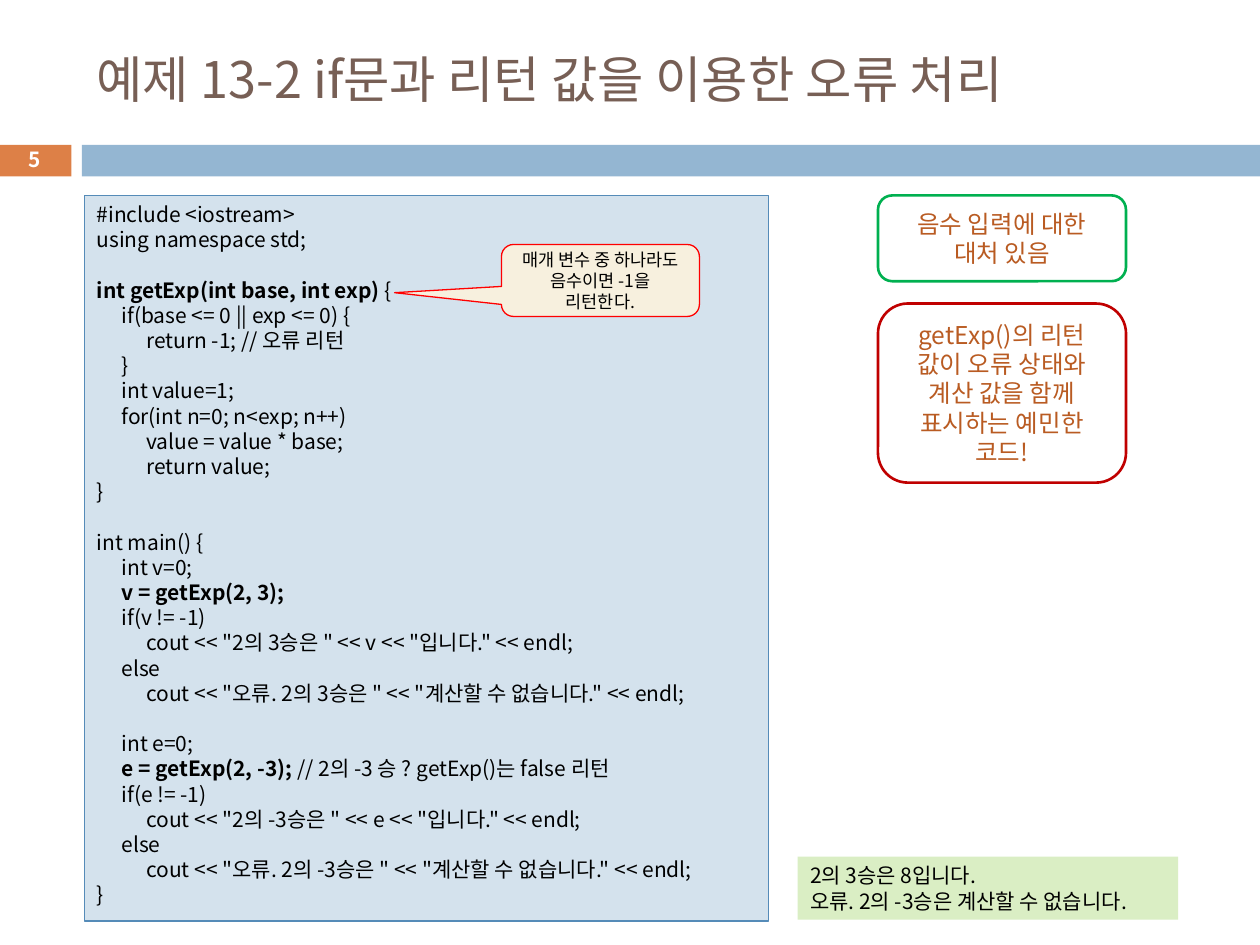
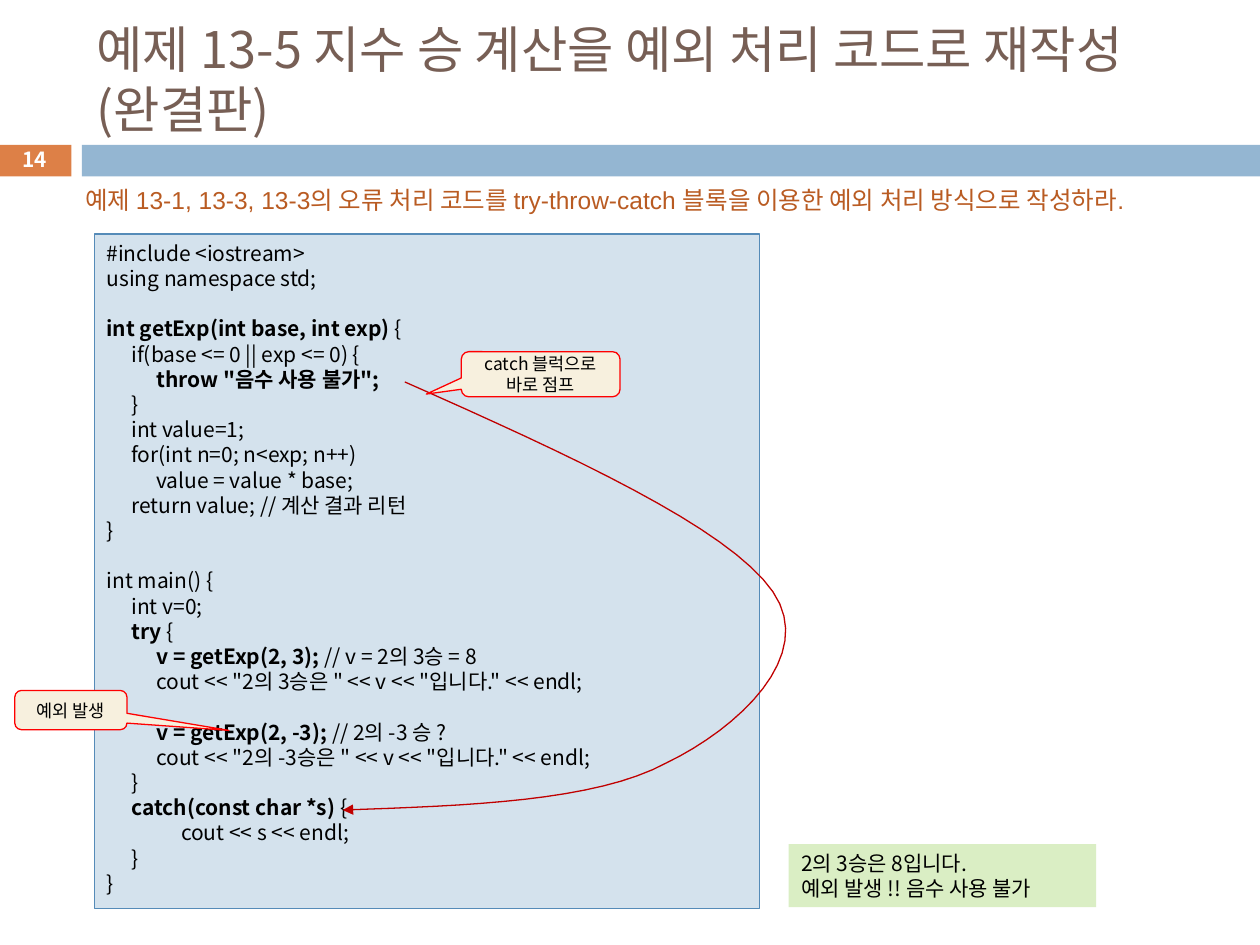
import pptx
import pptx.dml.color
import pptx.enum.shapes
import pptx.enum.text
import pptx.oxml
import pptx.oxml.ns
import pptx.util
from pptx.util import Cm

COLOURS = {
    "title": "775F55", "number_band": "DD8047", "title_band": "94B6D2",
    "white": "FFFFFF", "black": "000000", "code_fill": "D4E2ED",
    "code_line": "558BB8", "callout_fill": "F7F0DE", "callout_line": "FF0000",
    "output": "DAEEC4", "note": "B95B22", "green": "00B050", "red": "C00000",
}
KOREAN_FONT = "Noto Sans CJK KR"
LINE_PITCH = 1.2
TAB_STEP = 0.5
SHAPES = pptx.enum.shapes.MSO_SHAPE
ALIGN = pptx.enum.text.PP_ALIGN
ANCHOR = pptx.enum.text.MSO_ANCHOR

TITLE_STYLE = {"size": 28.8, "colour": "title", "anchor": ANCHOR.MIDDLE}
NUMBER_STYLE = {"size": 11.9, "colour": "white", "bold": True,
                "align": ALIGN.CENTER, "anchor": ANCHOR.MIDDLE}
CALLOUT_STYLE = {"size": 10, "align": ALIGN.CENTER, "anchor": ANCHOR.MIDDLE}
NOTE_STYLE = {"size": 14, "colour": "note", "align": ALIGN.CENTER,
              "anchor": ANCHOR.MIDDLE}
TASK_STYLE = {"size": 14, "colour": "note", "font": "Arial"}

FUNCTION_START = """#include <iostream>
using namespace std;

**int getExp(int base, int exp) **{
    if(base <= 0 || exp <= 0) {
"""
RETURN_VALUE_CODE = FUNCTION_START + """        return -1; // 오류 리턴
    }
    int value=1;
    for(int n=0; n<exp; n++)
        value = value * base;
        return value;
}

int main() {
    int v=0;
    **v = getExp(2, 3);**
    if(v != -1)
        cout << "2의 3승은 " << v << "입니다." << endl;
    else
        cout << "오류. 2의 3승은 " << "계산할 수 없습니다." << endl;

    int e=0;
    **e = getExp(2, -3); **// 2의 -3 승 ? getExp()는 false 리턴
    if(e != -1)
        cout << "2의 -3승은 " << e << "입니다." << endl;
    else
        cout << "오류. 2의 -3승은 " << "계산할 수 없습니다." << endl;
}"""
EXCEPTION_CODE = FUNCTION_START + """        **throw "음수 사용 불가";**
    }
    int value=1;
    for(int n=0; n<exp; n++)
        value = value * base;
    return value; // 계산 결과 리턴
}

int main() {
    int v=0;
    **try **{
        **v = getExp(2, 3); **// v = 2의 3승 = 8
        cout << "2의 3승은 " << v << "입니다." << endl;

        **v = getExp(2, -3); **// 2의 -3 승 ?
        cout << "2의 -3승은 " << v << "입니다." << endl;
    }
    **catch(const char *s) **{
            cout << s << endl;
    }
}"""


def rgb(name):
    return pptx.dml.color.RGBColor.from_string(COLOURS[name])


def add_run(paragraph, text, style, bold):
    run = paragraph.add_run()
    run.text = text
    values = {"size": pptx.util.Pt(style.get("size", 12)), "bold": bold,
              "name": style.get("font", KOREAN_FONT)}
    for attribute, value in values.items():
        setattr(run.font, attribute, value)
    run.font.color.rgb = rgb(style.get("colour", "black"))
    east_asian = run._r.get_or_add_rPr().makeelement(
        pptx.oxml.ns.qn("a:ea"), {"typeface": KOREAN_FONT})
    run.font._element.find(pptx.oxml.ns.qn("a:latin")).addnext(east_asian)


def add_tab_stops(paragraph):
    stops = "".join(f'<a:tab pos="{Cm(TAB_STEP * step)}" algn="l"/>' for step in range(1, 4))
    paragraph._p.get_or_add_pPr().append(pptx.oxml.parse_xml(
        f'<a:tabLst {pptx.oxml.ns.nsdecls("a")}>{stops}</a:tabLst>'))


def write_text(shape, text, style):
    frame = shape.text_frame
    frame.word_wrap = True
    frame.vertical_anchor = style.get("anchor", ANCHOR.TOP)
    pitch = pptx.util.Pt(style.get("size", 12) * LINE_PITCH)
    paragraph = None
    gap = False
    for line in text.split("\n"):
        if not line:
            gap = True
            continue
        paragraph = frame.add_paragraph() if paragraph else frame.paragraphs[0]
        values = {"alignment": style.get("align", ALIGN.LEFT), "line_spacing": pitch,
                  "space_before": pitch if gap else pptx.util.Pt(0)}
        for attribute, value in values.items():
            setattr(paragraph, attribute, value)
        gap = False
        if line.startswith("    "):
            add_tab_stops(paragraph)
        for index, part in enumerate(line.replace("    ", "\t").split("**")):
            if part:
                add_run(paragraph, part, style, style.get("bold", index % 2 == 1))


def outline(shape, colour, width=0.75):
    shape.line.color.rgb = rgb(colour)
    shape.line.width = pptx.util.Pt(width)


def add_panel(slide, box, kind=SHAPES.RECTANGLE, fill=None, line=None, width=0.75):
    shape = slide.shapes.add_shape(kind, *map(Cm, box))
    shape.shadow.inherit = False
    if fill:
        shape.fill.solid()
        shape.fill.fore_color.rgb = rgb(fill)
    else:
        shape.fill.background()
    if line:
        outline(shape, line, width)
    else:
        shape.line.fill.background()
    return shape


def add_label(slide, box, text, style):
    write_text(slide.shapes.add_textbox(*map(Cm, box)), text, style)


def add_code(slide, box, code):
    write_text(add_panel(slide, box, fill="code_fill", line="code_line"), code, {})


def add_output(slide, box, text):
    write_text(add_panel(slide, box, fill="output"), text, {})


def add_note(slide, box, text, line):
    write_text(add_panel(slide, box, SHAPES.ROUNDED_RECTANGLE, line=line, width=1.5),
               text, NOTE_STYLE)


def add_callout(slide, box, text, tip):
    shape = add_panel(slide, box, SHAPES.ROUNDED_RECTANGULAR_CALLOUT,
                      "callout_fill", "callout_line")
    shape.adjustments[0], shape.adjustments[1] = tip
    write_text(shape, text, CALLOUT_STYLE)


def bezier_points(controls, steps=16):
    for step in range(1, steps + 1):
        t = step / steps
        weights = ((1 - t) ** 3, 3 * t * (1 - t) ** 2, 3 * t * t * (1 - t), t ** 3)
        yield tuple(sum(weight * point[axis] for weight, point in zip(weights, controls))
                    for axis in (0, 1))


def add_jump_arrow(slide, box):
    left, top, width, height = box
    controls = [(0.14, 0), (0.51, 0.17), (0.87, 0.34), (0.97, 0.49), (1.07, 0.64),
                (0.89, 0.81), (0.73, 0.89), (0.57, 0.98), (0.28, 0.99), (0, 1)]
    points = [controls[0]]
    for start in range(0, len(controls) - 1, 3):
        points.extend(bezier_points(controls[start:start + 4]))
    places = [(Cm(left + x * width), Cm(top + y * height)) for x, y in points]
    builder = slide.shapes.build_freeform(*places[0])
    builder.add_line_segments(places[1:], close=False)
    shape = builder.convert_to_shape()
    shape.shadow.inherit = False
    shape.fill.background()
    outline(shape, "red")
    shape.line._get_or_add_ln().append(pptx.oxml.parse_xml(
        f'<a:tailEnd {pptx.oxml.ns.nsdecls("a")} type="triangle"/>'))


def add_example_slide(presentation, number, title):
    slide = presentation.slides.add_slide(presentation.slide_layouts[6])
    add_panel(slide, (-0.03, 2.92, 1.47, 0.64), fill="number_band")
    add_panel(slide, (1.65, 2.92, 23.75, 0.64), fill="title_band")
    add_label(slide, (1.7, 0.64, 22.66, 1.88), title, TITLE_STYLE)
    add_label(slide, (-0.03, 2.87, 1.47, 0.69), str(number), NUMBER_STYLE)
    return slide


def add_return_value_slide(presentation):
    slide = add_example_slide(presentation, 5, "예제 13-2 if문과 리턴 값을 이용한 오류 처리")
    add_code(slide, (1.7, 3.94, 13.79, 14.63), RETURN_VALUE_CODE)
    add_callout(slide, (10.11, 4.93, 3.99, 1.45),
                "매개 변수 중 하나라도 음수이면 -1을 리턴한다.", (-1.04, 0.17))
    add_output(slide, (16.08, 17.27, 7.67, 1.27),
               "2의 3승은 8입니다.\n오류. 2의 -3승은 계산할 수 없습니다.")
    add_note(slide, (17.7, 3.94, 5, 1.73), "음수 입력에 대한 대처 있음", "green")
    add_note(slide, (17.7, 6.12, 5, 3.61),
             "getExp()의 리턴 값이 오류 상태와 계산 값을 함께 표시하는 예민한\n코드!", "red")


def add_exception_slide(presentation):
    slide = add_example_slide(presentation, 14,
                              "예제 13-5 지수 승 계산을 예외 처리 코드로 재작성(완결판)")
    add_code(slide, (1.9, 4.72, 13.41, 13.59), EXCEPTION_CODE)
    add_output(slide, (15.9, 17.02, 6.2, 1.27),
               "2의 3승은 8입니다.\n예외 발생 !! 음수 사용 불가")
    add_label(slide, (1.47, 3.61, 23.39, 0.86),
              "예제 13-1, 13-3, 13-3의 오류 처리 코드를 try-throw-catch 블록을 "
              "이용한 예외 처리 방식으로 작성하라.", TASK_STYLE)
    add_callout(slide, (0.3, 13.92, 2.26, 0.79), "예외 발생", (1.41, 0.52))
    add_jump_arrow(slide, (6.91, 7.7, 8.94, 8.63))
    add_callout(slide, (9.3, 7.09, 3.2, 0.91), "catch 블럭으로 바로 점프", (-0.72, 0.44))


def main():
    presentation = pptx.Presentation()
    presentation.slide_width = Cm(25.4)
    presentation.slide_height = Cm(19.05)
    add_return_value_slide(presentation)
    add_exception_slide(presentation)
    presentation.save("out.pptx")


if __name__ == "__main__":
    main()
